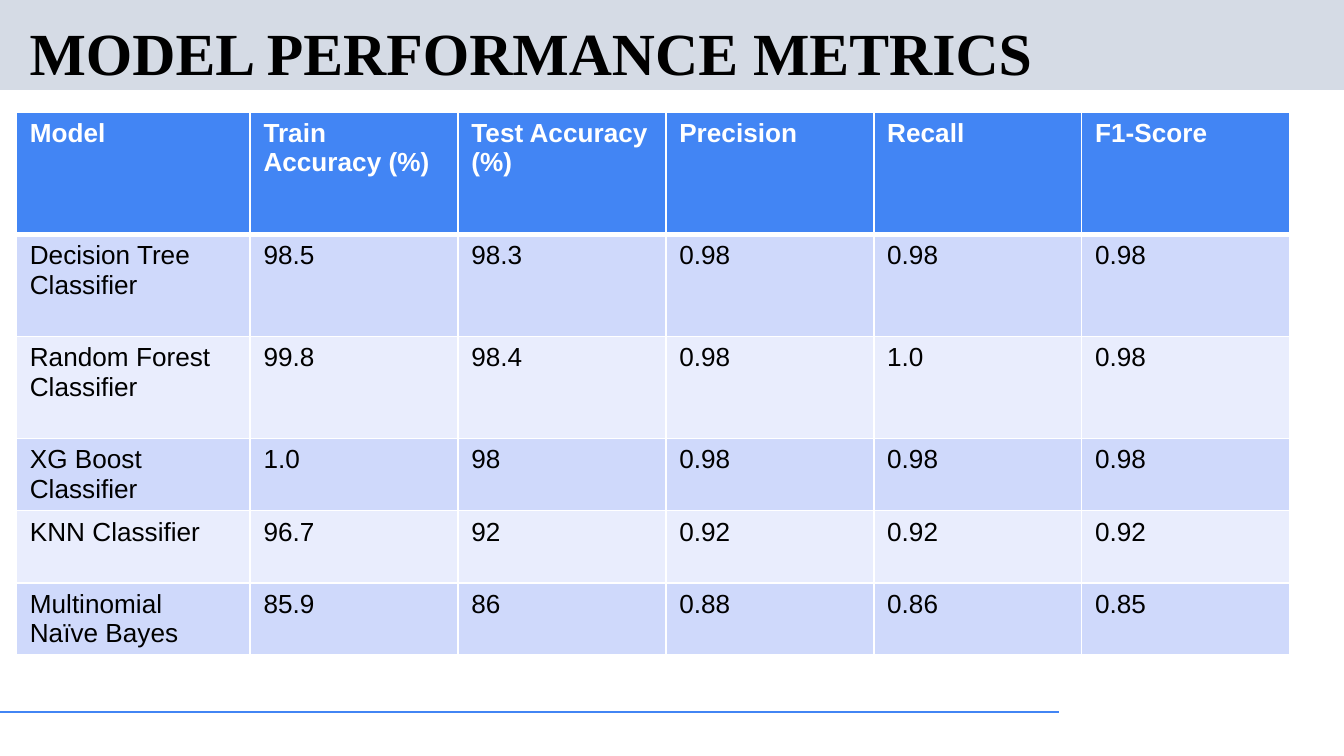
from dataclasses import dataclass

from lxml import etree
from pptx import Presentation
from pptx.dml.color import RGBColor
from pptx.enum.shapes import MSO_CONNECTOR, MSO_SHAPE
from pptx.enum.text import MSO_AUTO_SIZE
from pptx.oxml.ns import qn
from pptx.slide import Slide
from pptx.table import _Cell
from pptx.text.text import TextFrame
from pptx.util import Pt

RECTANGLE = MSO_SHAPE.RECTANGLE
STRAIGHT = MSO_CONNECTOR.STRAIGHT
FIT_SHAPE = MSO_AUTO_SIZE.SHAPE_TO_FIT_TEXT


@dataclass(frozen=True)
class Theme:
    accent: str = "4285F4"
    band: str = "D5DBE5"
    odd_row: str = "CFD9FB"
    even_row: str = "E9EDFD"
    white: str = "FFFFFF"
    black: str = "000000"
    title_font: str = "Times New Roman"
    body_font: str = "Arial"
    title_size: float = 32
    body_size: float = 14


@dataclass(frozen=True)
class ModelResult:
    model: str
    train: str
    test: str
    precision: str
    recall: str
    f1_score: str
    height: float

    def texts(self) -> list[str]:
        return [self.model, self.train, self.test,
                self.precision, self.recall, self.f1_score]


THEME = Theme()
PAGE_WIDTH, PAGE_HEIGHT = 720, 405
TABLE_LEFT, TABLE_TOP = 8.8, 60
MODEL_WIDTH, METRIC_WIDTH = 125.2, 111.4
THIN, THICK = 1, 3

# A line break in a text starts a new paragraph
ROWS = [
    ModelResult("Model", "Train Accuracy (%)", "Test Accuracy\n(%)",
                "Precision", "Recall", "F1-Score", 65.5),
    ModelResult("Decision Tree\nClassifier", "98.5", "98.3", "0.98", "0.98", "0.98", 54.7),
    ModelResult("Random Forest Classifier", "99.8", "98.4", "0.98", "1.0", "0.98", 54.7),
    ModelResult("XG Boost Classifier", "1.0", "98", "0.98", "0.98", "0.98", 38.7),
    ModelResult("KNN Classifier", "96.7", "92", "0.92", "0.92", "0.92", 38.7),
    ModelResult("Multinomial Naïve Bayes", "85.9", "86", "0.88", "0.86", "0.85", 38.7),
]


def color(value: str) -> RGBColor:
    return RGBColor.from_string(value)


def write_text(frame: TextFrame, text: str, *, font: str, size: float,
               ink: str, bold: bool = False) -> None:
    frame.word_wrap = True
    for index, line in enumerate(text.split("\n")):
        para = frame.add_paragraph() if index else frame.paragraphs[0]
        span = para.add_run()
        span.text = line
        span.font.name = font
        span.font.size = Pt(size)
        span.font.bold = bold
        span.font.color.rgb = color(ink)


def set_borders(cell: _Cell, top: float, bottom: float) -> None:
    properties = cell._tc.get_or_add_tcPr()
    for side, width in (("L", THIN), ("R", THIN), ("T", top), ("B", bottom)):
        line = etree.SubElement(properties, qn(f"a:ln{side}"), w=str(Pt(width)))
        fill = etree.SubElement(line, qn("a:solidFill"))
        etree.SubElement(fill, qn("a:srgbClr"), val=THEME.white)


def draw_band(page: Slide) -> None:
    band = page.shapes.add_shape(RECTANGLE, 0, 0, Pt(PAGE_WIDTH), Pt(48.2))
    band.shadow.inherit = False
    band.fill.solid()
    band.fill.fore_color.rgb = color(THEME.band)
    band.line.fill.background()


def draw_footer_line(page: Slide) -> None:
    line = page.shapes.add_connector(STRAIGHT, 0, Pt(381.5), Pt(567.4), Pt(381.5))
    line.line.color.rgb = color(THEME.accent)
    line.line.width = Pt(0.75)
    etree.SubElement(line._element.spPr, qn("a:effectLst"))


def draw_table(page: Slide, rows: list[ModelResult]) -> None:
    widths = [MODEL_WIDTH] + [METRIC_WIDTH] * 5
    table = page.shapes.add_table(
        len(rows), len(widths), Pt(TABLE_LEFT), Pt(TABLE_TOP),
        Pt(sum(widths)), Pt(sum(row.height for row in rows))).table
    for column, width in zip(table.columns, widths):
        column.width = Pt(width)
    for index, row in enumerate(rows):
        table.rows[index].height = Pt(row.height)
        header = index == 0
        fill = THEME.accent if header else THEME.odd_row if index % 2 else THEME.even_row
        for cell, text in zip(table.rows[index].cells, row.texts()):
            set_borders(cell, top=THICK if index == 1 else THIN,
                        bottom=THICK if header else THIN)
            cell.fill.solid()
            cell.fill.fore_color.rgb = color(fill)
            write_text(cell.text_frame, text, font=THEME.body_font,
                       size=THEME.body_size, bold=header,
                       ink=THEME.white if header else THEME.black)


def draw_title(page: Slide, text: str) -> None:
    box = page.shapes.add_textbox(Pt(TABLE_LEFT), Pt(5), Pt(PAGE_WIDTH - TABLE_LEFT), Pt(46))
    write_text(box.text_frame, text, font=THEME.title_font,
               size=THEME.title_size, ink=THEME.black, bold=True)
    box.text_frame.auto_size = FIT_SHAPE


def main() -> None:
    deck = Presentation()
    deck.slide_width, deck.slide_height = Pt(PAGE_WIDTH), Pt(PAGE_HEIGHT)
    page = deck.slides.add_slide(deck.slide_layouts[6])

    # Page frame
    draw_band(page)
    draw_footer_line(page)

    # Content
    draw_table(page, ROWS)
    draw_title(page, "MODEL PERFORMANCE METRICS")
    deck.save("out.pptx")


if __name__ == "__main__":
    main()
